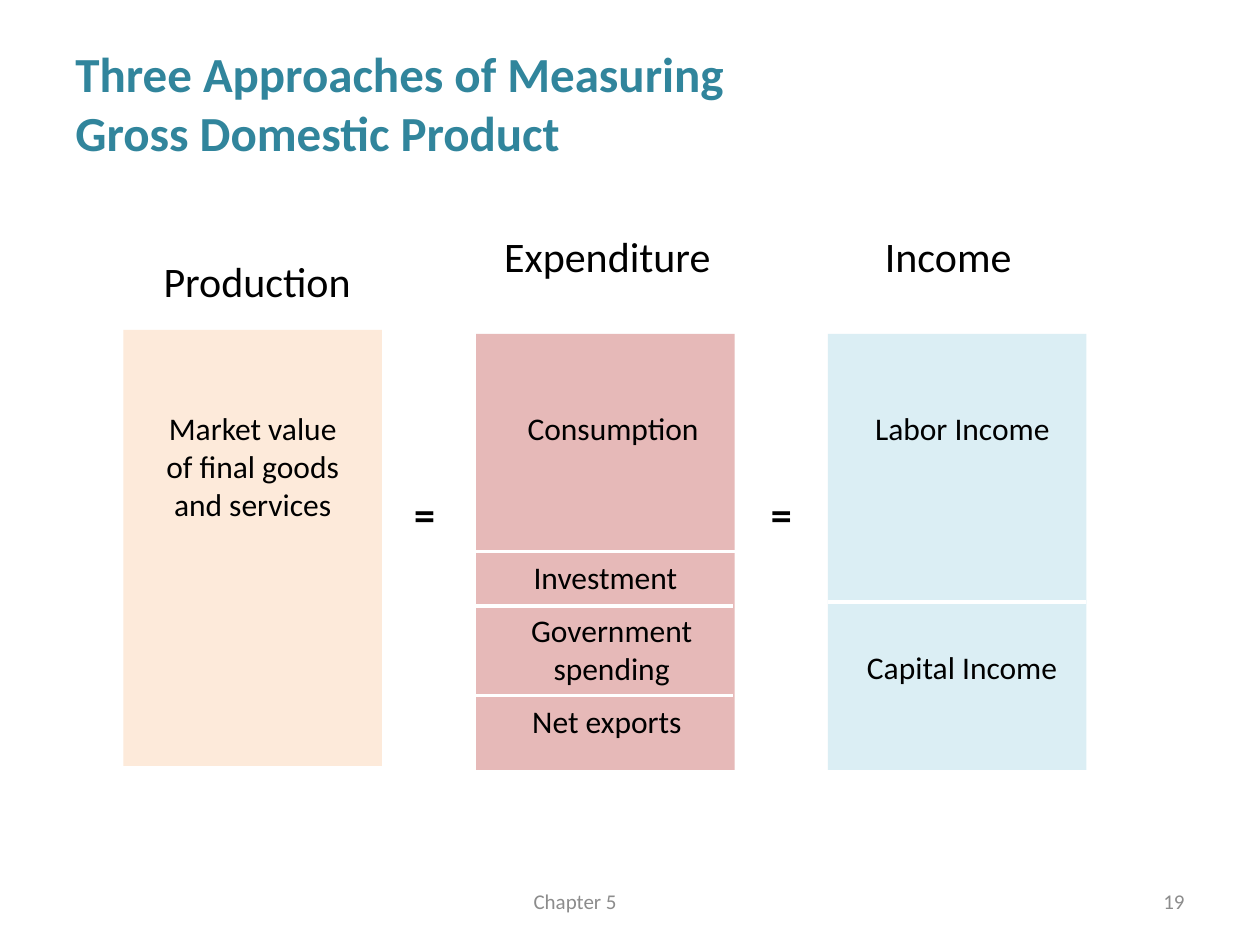
import pptx
import pptx.dml.color
import pptx.enum.shapes
import pptx.enum.text
import pptx.oxml.ns
import pptx.util
from lxml import etree

Cm = pptx.util.Cm
RGBColor = pptx.dml.color.RGBColor
ALIGN = pptx.enum.text.PP_ALIGN
ANCHOR = pptx.enum.text.MSO_ANCHOR

TEAL = RGBColor(0x31, 0x85, 0x9C)
BLACK = RGBColor(0, 0, 0)
GRAY = RGBColor(0x8C, 0x8C, 0x8C)
WHITE = RGBColor(0xFF, 0xFF, 0xFF)
PEACH = RGBColor(0xFD, 0xEA, 0xDA)
ROSE = RGBColor(0xE6, 0xB9, 0xB8)
ICE = RGBColor(0xDB, 0xEE, 0xF4)

COLUMN_WIDTH, COLUMN_HEIGHT = 5.21, 8.79


def add_text(page, box, text, size, color=BLACK, bold=False,
             align=ALIGN.CENTER, anchor=ANCHOR.TOP, line_spacing=None):
    """Place one paragraph in box, given as left, top, width, height in cm."""
    frame = page.shapes.add_textbox(*map(Cm, box)).text_frame
    frame.word_wrap = True
    frame.vertical_anchor = anchor
    para = frame.paragraphs[0]
    para.text = text
    para.alignment = align
    if line_spacing:
        para.line_spacing = line_spacing
    para.font.name = "Calibri"
    para.font.size = pptx.util.Pt(size)
    para.font.bold = bold
    para.font.color.rgb = color


def add_divider(page, left, top, width):
    line = page.shapes.add_connector(
        pptx.enum.shapes.MSO_CONNECTOR.STRAIGHT,
        Cm(left), Cm(top), Cm(left + width), Cm(top))
    line.line.color.rgb = WHITE
    line.line.width = pptx.util.Pt(2)
    etree.SubElement(line._element.spPr, pptx.oxml.ns.qn("a:effectLst"))


def add_column(page, left, top, color, heading, labels, dividers=(),
               heading_spacing=None):
    """Draw one approach; its parts are offset from the column's corner."""
    column = page.shapes.add_shape(
        pptx.enum.shapes.MSO_SHAPE.RECTANGLE,
        Cm(left), Cm(top), Cm(COLUMN_WIDTH), Cm(COLUMN_HEIGHT))
    column.shadow.inherit = False
    column.fill.solid()
    column.fill.fore_color.rgb = color
    column.line.fill.background()

    def place(part, size, spacing=None):
        text, across, down, width, height = part
        add_text(page, (left + across, top + down, width, height), text, size,
                 line_spacing=spacing)

    place(heading, 24, heading_spacing)
    for label in labels:
        place(label, 18)
    for down, width in dividers:
        add_divider(page, left, top + down, width)


def add_title(page, box):
    add_text(page, box, "Three Approaches of Measuring\nGross Domestic Product",
             28, TEAL, bold=True, align=ALIGN.LEFT)


def add_footer(page, left, top, height):
    add_text(page, (left, top, 12.27, height), "Chapter 5", 12, GRAY,
             anchor=ANCHOR.MIDDLE)
    add_text(page, (left + 12.75, top, 5.92, height), "19", 12, GRAY,
             align=ALIGN.RIGHT, anchor=ANCHOR.MIDDLE)


def main():
    deck = pptx.Presentation()
    deck.slide_width, deck.slide_height = Cm(25.4), Cm(19.05)
    page = deck.slides.add_slide(deck.slide_layouts[6])

    add_title(page, (1.27, 0.76, 22.86, 2.36))

    # Parts are (text, across, down, width, height)
    add_column(page, 2.49, 6.65, PEACH,
               ("Production", 0.18, -2.13, 5.03, 0.99),
               [("Market value of final goods and services",
                 0.61, 1.48, 3.99, 2.57)],
               heading_spacing=1.5)
    add_column(page, 9.6, 6.73, ROSE,
               ("Expenditure", 0.13, -2.21, 5.03, 1.27),
               [("Consumption", 0.51, 1.4, 4.5, 1.02),
                ("Investment", 0, 4.39, 5.21, 1.02),
                ("Government spending", 0.48, 5.46, 4.5, 1.8),
                ("Net exports", 0.08, 7.29, 5.11, 1.02)],
               [(4.39, 5.69), (5.49, 5.18), (7.29, 5.18)])
    add_column(page, 16.69, 6.73, ICE,
               ("Income", -0.18, -2.21, 5.21, 1.27),
               [("Labor Income", 0.41, 1.4, 4.6, 1.02),
                ("Capital Income", 0, 6.2, 5.41, 1.02)],
               [(5.41, COLUMN_WIDTH)])

    # Equals signs between the columns
    for left, width in ((8.1, 0.99), (15.29, 0.79)):
        add_text(page, (left, 9.73, width, 1.27), "=", 24, bold=True,
                 align=ALIGN.LEFT)

    add_footer(page, 5.46, 17.65, 1.02)
    deck.save("out.pptx")


if __name__ == "__main__":
    main()
